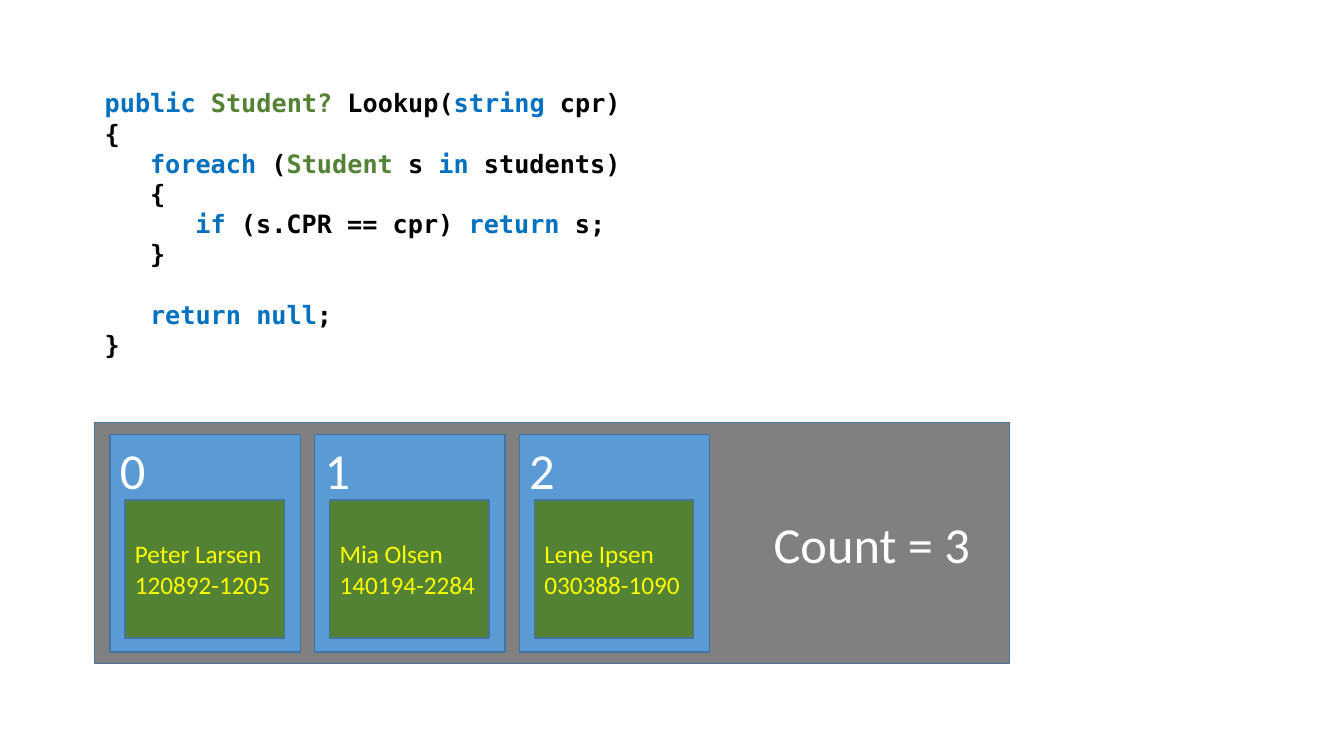
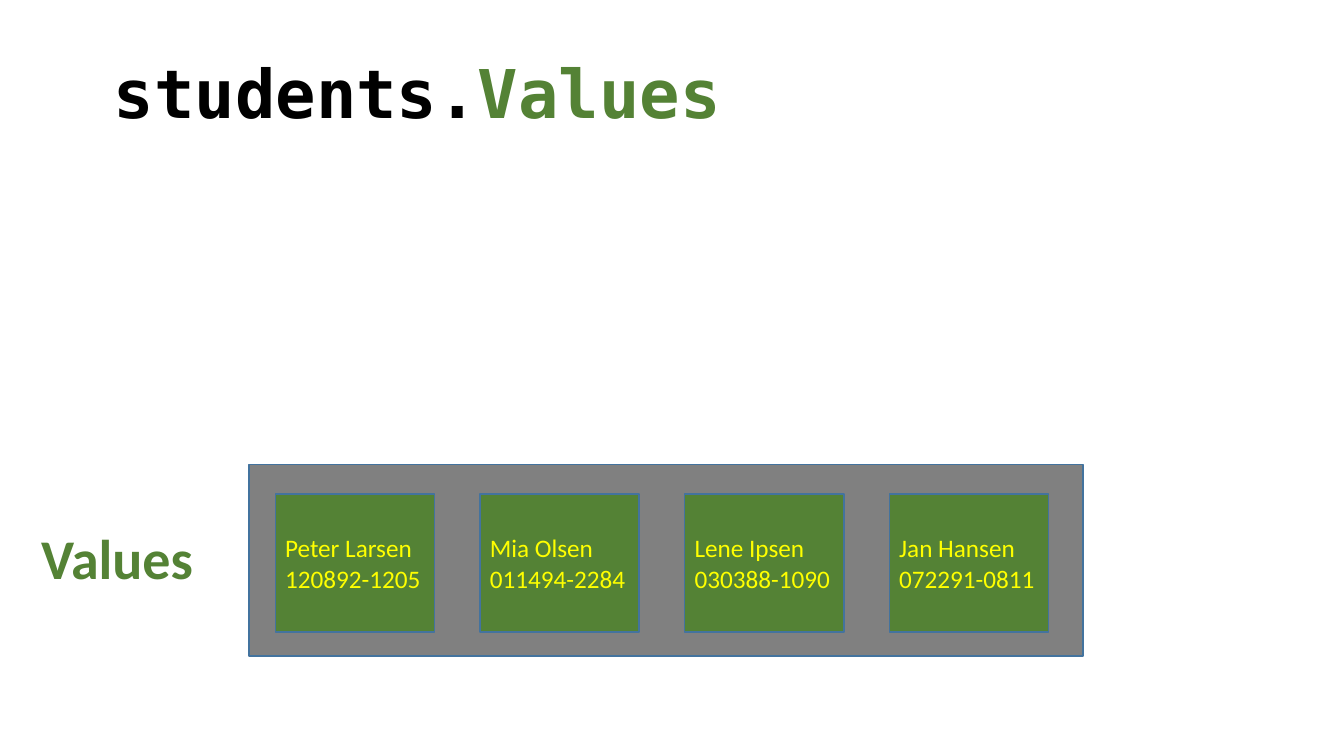
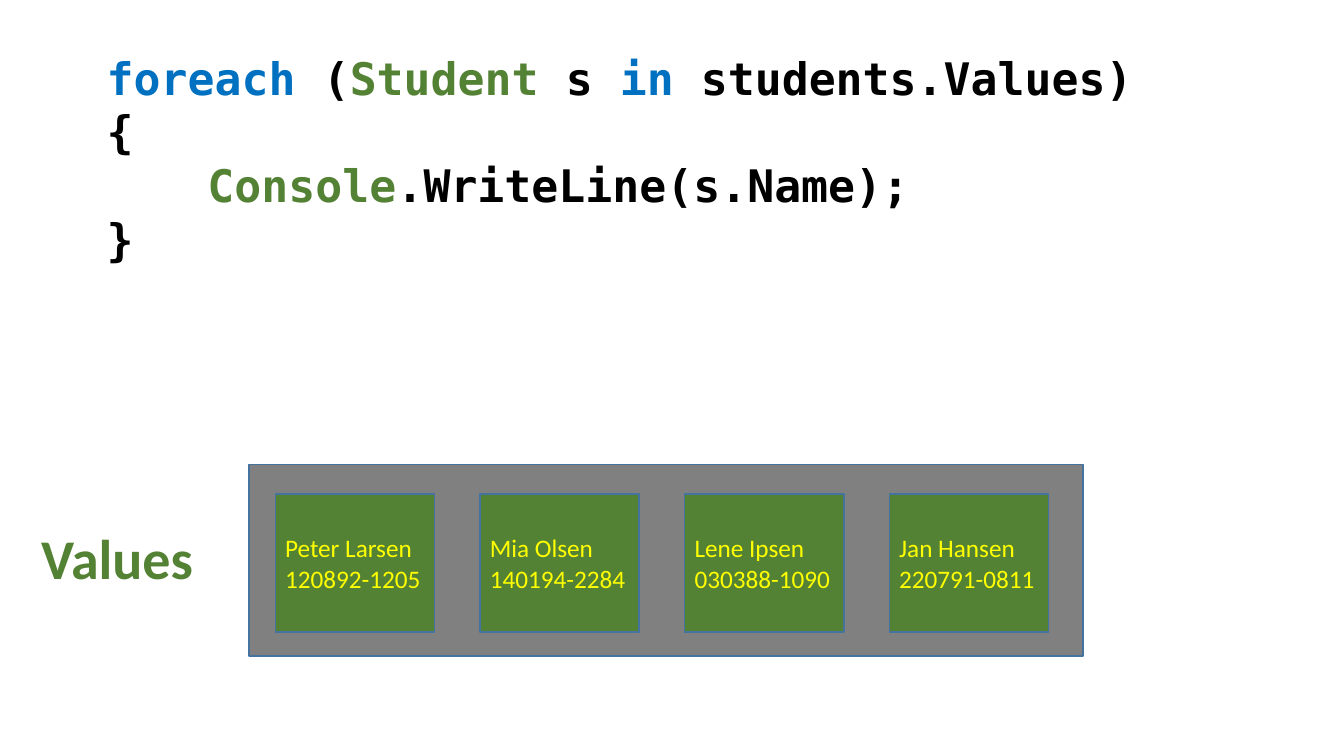
"""Build three slides on looking up and listing students in C# collections."""
import pptx
import pptx.dml.color
import pptx.enum.shapes
import pptx.enum.text
import pptx.util

Inches = pptx.util.Inches
Anchor = pptx.enum.text.MSO_ANCHOR
Align = pptx.enum.text.PP_ALIGN

THEME = {
    "colors": {
        "keyword": "0070C0", "type": "548235", "plain": "000000",
        "container": "808080", "slot": "5B9BD5", "student": "548235",
        "outline": "43739E", "label": "FFFFFF", "data": "FFFF00",
    },
    "sizes": {"body": 18, "code": 32, "label": 36, "heading": 40, "title": 48},
    "text_font": "Calibri",
    "code_font": "DejaVu Sans Mono",
}


def add_box(page, place, fill=None, anchor=Anchor.TOP):
    """Add an outlined rectangle, or a plain text box when no fill is named."""
    lengths = [Inches(length) for length in place]
    if fill is None:
        box = page.shapes.add_textbox(*lengths)
    else:
        box = page.shapes.add_shape(pptx.enum.shapes.MSO_SHAPE.RECTANGLE, *lengths)
        box.shadow.inherit = False
        box.fill.solid()
        box.fill.fore_color.rgb = pptx.dml.color.RGBColor.from_string(THEME["colors"][fill])
        box.line.color.rgb = pptx.dml.color.RGBColor.from_string(THEME["colors"]["outline"])
        box.line.width = pptx.util.Pt(1)
    box.text_frame.word_wrap = True
    box.text_frame.vertical_anchor = anchor
    return box


def write_lines(box, lines, size, font="text_font", bold=False, **paragraph_format):
    """Write one paragraph per line, each line a list of (text, color name) spans."""
    frame = box.text_frame
    for number, line in enumerate(lines):
        para = frame.add_paragraph() if number else frame.paragraphs[0]
        for name, value in {"alignment": Align.LEFT, **paragraph_format}.items():
            setattr(para, name, value)
        for text, color in line:
            span = para.add_run()
            span.text = text
            formats = {"name": THEME[font], "size": pptx.util.Pt(THEME["sizes"][size]), "bold": bold}
            for name, value in formats.items():
                setattr(span.font, name, value)
            span.font.color.rgb = pptx.dml.color.RGBColor.from_string(THEME["colors"][color])


PETER = ("Peter Larsen", "120892-1205")
MIA = ("Mia Olsen", "140194-2284")
LENE = ("Lene Ipsen", "030388-1090")
STUDENT_SIZE = (1.58, 1.37)
PITCH = 2.03

LOOKUP_CODE = [
    (0, [("public ", "keyword"), ("Student? ", "type"), ("Lookup(", "plain"),
         ("string", "keyword"), (" cpr)", "plain")]),
    (0, [("{", "plain")]),
    (1, [("foreach", "keyword"), (" (", "plain"), ("Student", "type"), (" s ", "plain"),
         ("in", "keyword"), (" students)", "plain")]),
    (1, [("{", "plain")]),
    (2, [("if", "keyword"), (" (s.CPR == cpr) ", "plain"), ("return ", "keyword"), ("s;", "plain")]),
    (1, [("}", "plain")]),
    (1, [("return null", "keyword"), (";", "plain")]),
    (0, [("}", "plain")]),
]
TITLE_CODE = [(0, [("students.", "plain"), ("Values", "type")])]
PRINT_CODE = [
    (0, [("foreach ", "keyword"), ("(", "plain"), ("Student", "type"), (" s ", "plain"),
         ("in", "keyword"), (" students.Values)", "plain")]),
    (0, [("{", "plain")]),
    (1, [("Console", "type"), (".WriteLine(s.Name);", "plain")]),
    (0, [("}", "plain")]),
]

SLIDES = [
    {"code": LOOKUP_CODE, "place": (0.94, 0.82, 10.07, 2.83), "size": "body", "indent": 0.45,
     "gap_before": 6, "students": [PETER, MIA, LENE], "first": (1.24, 4.96), "indexed": True},
    {"code": TITLE_CODE, "place": (1.03, 0.46, 11.67, 0.91), "size": "title", "indent": 0,
     "gap_before": None, "first": (2.73, 4.9), "indexed": False,
     "students": [PETER, ("Mia Olsen", "011494-2284"), LENE, ("Jan Hansen", "072291-0811")]},
    {"code": PRINT_CODE, "place": (0.96, 0.45, 11.67, 2.26), "size": "code", "indent": 1,
     "gap_before": None, "first": (2.73, 4.9), "indexed": False,
     "students": [PETER, MIA, LENE, ("Jan Hansen", "220791-0811")]},
]

deck = pptx.Presentation()
deck.slide_width = Inches(13.33)
deck.slide_height = Inches(7.5)

for content in SLIDES:
    page = deck.slides.add_slide(deck.slide_layouts[6])

    if content["indexed"]:
        container = add_box(page, (0.94, 4.19, 9.07, 2.39), "container", Anchor.MIDDLE)
        container.text_frame.margin_right = Inches(0.39)
        write_lines(container, [[("Count = 3", "label")]], "label", alignment=Align.RIGHT)
    else:
        add_box(page, (2.47, 4.61, 8.27, 1.9), "container")
        heading = add_box(page, (0.31, 5.01, 2.09, 1.11), anchor=Anchor.MIDDLE)
        write_lines(heading, [[("Values", "type")]], "heading", bold=True, line_spacing=0.9)

    code_box = add_box(page, content["place"])
    code_box.text_frame.auto_size = pptx.enum.text.MSO_AUTO_SIZE.SHAPE_TO_FIT_TEXT
    write_lines(code_box, [line for level, line in content["code"]], content["size"], "code_font", True)
    for number, (level, line) in enumerate(content["code"]):
        para = code_box.text_frame.paragraphs[number]
        if level:
            para._p.get_or_add_pPr().set("marL", str(Inches(content["indent"] * level)))
        if number == content["gap_before"]:
            para.space_before = pptx.util.Pt(21.6)

    left, top = content["first"]
    for index, student in enumerate(content["students"]):
        student_left = left + index * PITCH
        if content["indexed"]:
            slot = add_box(page, (student_left - 0.15, 4.31, 1.89, 2.16), "slot")
            write_lines(slot, [[(str(index), "label")]], "label")
        card = add_box(page, (student_left, top, *STUDENT_SIZE), "student", Anchor.MIDDLE)
        write_lines(card, [[(text, "data")] for text in student], "body")

deck.save("out.pptx")
